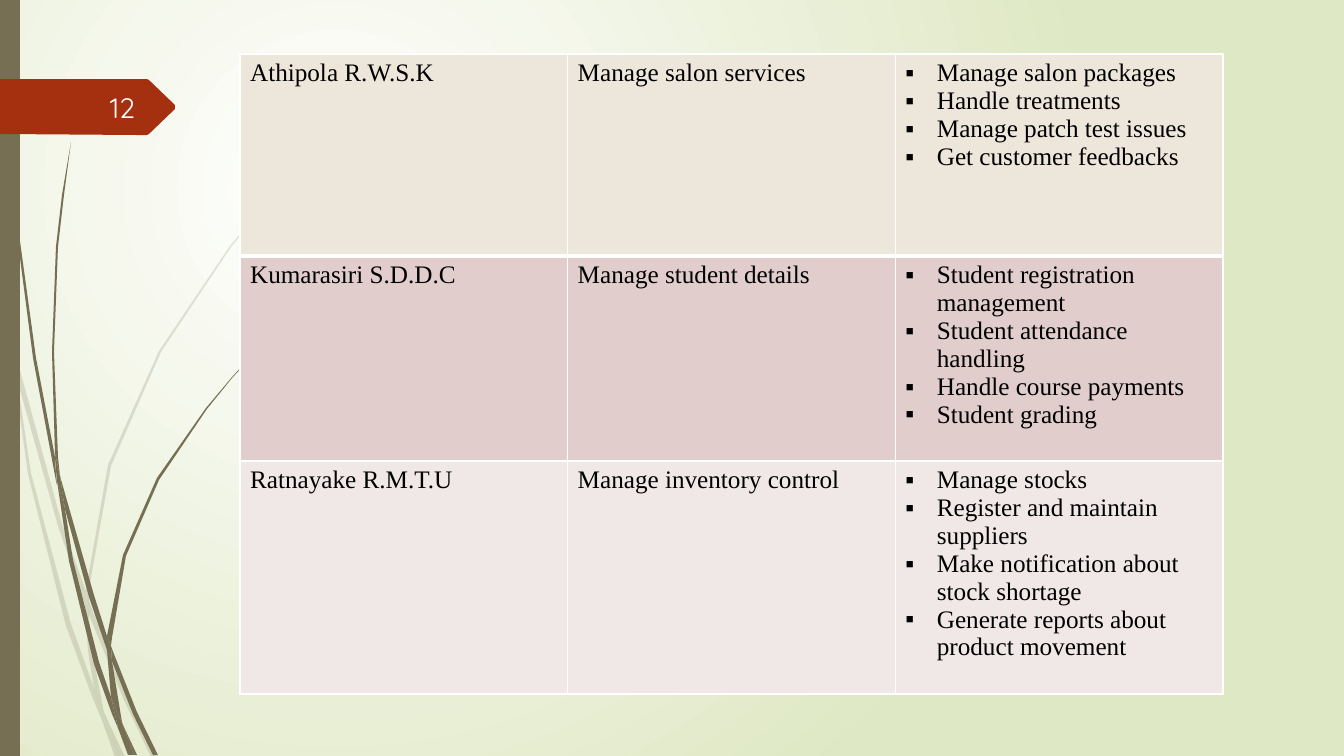
from lxml import etree
from pptx import Presentation
from pptx import util as u
from pptx.dml.color import RGBColor
from pptx.enum import shapes, text
from pptx.oxml import ns

WIDTH, HEIGHT = 1344, 756
EMU_PER_PX = 12192000 / WIDTH

WHITE = RGBColor(0xFF, 0xFF, 0xFF)
NUMBER_WHITE = RGBColor(0xFE, 0xFF, 0xFF)
BLACK = RGBColor(0x00, 0x00, 0x00)
SAGE = RGBColor(0xDF, 0xE8, 0xC4)
OLIVE = RGBColor(0x76, 0x6F, 0x54)
RUST = RGBColor(0xA5, 0x30, 0x10)
SAND = RGBColor(0xED, 0xE6, 0xDB)
ROSE = RGBColor(0xE1, 0xCD, 0xCC)
BLUSH = RGBColor(0xF0, 0xE8, 0xE7)

PALE_BLADES = [
    [(11, 353), (9, 325), (0, 284), (0, 301), (10, 347)],
    [(58, 526), (85, 604), (86, 591), (62, 524), (14, 348), (17, 379)],
    [(93, 612), (89, 601), (89, 615), (124, 700), (151, 757), (156, 757),
     (128, 698)],
    [(120, 757), (125, 757), (106, 717)],
    [(94, 688), (71, 624), (31, 473), (17, 379), (11, 353), (28, 474),
     (66, 626), (93, 699), (102, 720), (100, 713)],
    [(85, 604), (88, 651), (94, 688), (97, 698), (106, 717), (104, 712),
     (92, 651), (89, 615), (89, 613)],
    [(89, 589), (111, 466), (161, 352), (231, 247), (270, 200), (292, 176),
     (314, 155), (314, 154), (291, 176), (270, 199), (230, 246), (159, 351),
     (108, 465), (86, 589), (86, 591), (89, 601)],
    [(102, 720), (115, 757), (120, 757)],
    [(89, 613), (89, 615), (89, 601), (86, 591), (85, 604)],
    [(97, 698), (94, 688), (100, 713), (102, 720), (120, 757), (106, 717)],
]
DARK_BLADES = [
    [(7, 111), (17, 235), (33, 358), (56, 481), (57, 485), (55, 461),
     (55, 457), (36, 358), (19, 234), (8, 110), (5, 48), (4, 0), (3, 0),
     (4, 48)],
    [(89, 597), (107, 650), (107, 638), (107, 636), (94, 595), (60, 476),
     (65, 509)],
    [(114, 654), (111, 646), (112, 661), (133, 714), (153, 755), (158, 755),
     (137, 712)],
    [(111, 697), (99, 662), (73, 560), (65, 509), (57, 481), (69, 561),
     (94, 664), (112, 714), (118, 728), (117, 723)],
    [(60, 476), (58, 457), (54, 352), (58, 247), (64, 195), (71, 142),
     (62, 195), (56, 247), (52, 352), (55, 453)],
    [(134, 755), (137, 755), (123, 725)],
    [(57, 481), (65, 509), (60, 476), (55, 453), (55, 457)],
    [(112, 638), (126, 556), (159, 480), (207, 409), (233, 377), (247, 362),
     (263, 347), (262, 347), (247, 361), (233, 376), (206, 408), (157, 478),
     (123, 555), (107, 636), (111, 646)],
    [(118, 728), (128, 755), (132, 755)],
    [(107, 650), (111, 697), (117, 712), (123, 725), (122, 722), (112, 661),
     (110, 656)],
    [(107, 650), (110, 656), (112, 661), (111, 646), (107, 636), (107, 638)],
    [(117, 712), (111, 697), (117, 723), (118, 728), (131, 755), (134, 755),
     (123, 725)],
]
BADGE = [(175, 109), (149, 134), (147, 135), (137, 135), (0, 134), (0, 79),
         (137, 79), (147, 79), (149, 80), (175, 105)]
DUTIES = [
    ("Athipola R.W.S.K", "Manage salon services",
     ["Manage salon packages", "Handle treatments",
      "Manage patch test issues", "Get customer feedbacks"], SAND, 202),
    ("Kumarasiri S.D.D.C", "Manage student details",
     ["Student registration management", "Student attendance handling",
      "Handle course payments", "Student grading"], ROSE, 205),
    ("Ratnayake R.M.T.U", "Manage inventory control",
     ["Manage stocks", "Register and maintain suppliers",
      "Make notification about stock shortage",
      "Generate reports about product movement"], BLUSH, 233),
]


def px(value):
    return u.Emu(round(value * EMU_PER_PX))


def add_xml(parent, tag, **attributes):
    return etree.SubElement(parent, ns.qn(tag), attributes)


def paint_background(page):
    fill = page.background.fill
    fill.gradient()
    for stop, color, position in zip(fill.gradient_stops, (WHITE, SAGE), (0, 1)):
        stop.color.rgb = color
        stop.position = position
    gradient = page.element.find(".//" + ns.qn("a:gradFill"))
    for line in gradient.findall(ns.qn("a:lin")):
        gradient.remove(line)
    circle = add_xml(gradient, "a:path", path="circle")
    add_xml(circle, "a:fillToRect", l="50000", t="50000", r="100000", b="100000")


def paint(shape, color):
    shape.shadow.inherit = False
    shape.fill.solid()
    shape.fill.fore_color.rgb = color
    shape.line.fill.background()


def add_outline(page, points, color, opacity=100):
    corners = [(px(x), px(y)) for x, y in points]
    builder = page.shapes.build_freeform(*corners[0])
    builder.add_line_segments(corners[1:], close=True)
    outline = builder.convert_to_shape()
    paint(outline, color)
    if opacity < 100:
        tint = outline.element.spPr.find(".//" + ns.qn("a:srgbClr"))
        add_xml(tint, "a:alpha", val=str(opacity * 1000))


def add_side_bar(page):
    bar = page.shapes.add_shape(
        shapes.MSO_SHAPE.RECTANGLE, 0, 0, px(20), px(HEIGHT))
    paint(bar, OLIVE)


def format_text(para, font, size, color):
    for span in para.runs:
        span.font.name = font
        span.font.size = u.Pt(size)
        span.font.color.rgb = color


def add_number(page, number):
    box = page.shapes.add_textbox(px(59), px(87), px(86), px(40))
    frame = box.text_frame
    frame.word_wrap = True
    frame.vertical_anchor = text.MSO_ANCHOR.MIDDLE
    frame.text = number
    para = frame.paragraphs[0]
    para.alignment = text.PP_ALIGN.RIGHT
    format_text(para, "Quicksand", 20, NUMBER_WHITE)


def add_bullet(para):
    properties = para._p.get_or_add_pPr()
    properties.set("marL", "285750")
    properties.set("indent", "-285750")
    add_xml(properties, "a:buFont", typeface="Times New Roman")
    add_xml(properties, "a:buChar", char="▪")


def set_borders(cell):
    properties = cell._tc.get_or_add_tcPr()
    for side, width in zip("LRTB", (1, 1, 1, 3)):
        line = add_xml(properties, "a:ln" + side, w=str(u.Pt(width)))
        add_xml(add_xml(line, "a:solidFill"), "a:srgbClr", val=str(WHITE))


def fill_cell(cell, lines, color, bulleted):
    cell.fill.solid()
    cell.fill.fore_color.rgb = color
    cell.text_frame.text = "\n".join(lines)
    for para in cell.text_frame.paragraphs:
        format_text(para, "Times New Roman", 18, BLACK)
        if bulleted:
            add_bullet(para)


def add_duty_table(page):
    total = sum(duty[-1] for duty in DUTIES)
    table = page.shapes.add_table(
        len(DUTIES), 3, px(240), px(54), px(983), px(total)).table
    table.first_row = False
    table.horz_banding = False
    for index, (person, area, tasks, color, height) in enumerate(DUTIES):
        table.rows[index].height = px(height)
        for column, lines in enumerate(([person], [area], tasks)):
            cell = table.cell(index, column)
            if index == 0:
                set_borders(cell)
            fill_cell(cell, lines, color, lines is tasks)


def main():
    deck = Presentation()
    deck.slide_width, deck.slide_height = px(WIDTH), px(HEIGHT)
    page = deck.slides.add_slide(deck.slide_layouts[6])
    paint_background(page)
    for blades, opacity in ((PALE_BLADES, 20), (DARK_BLADES, 100)):
        for points in blades:
            add_outline(page, points, OLIVE, opacity)
    add_side_bar(page)
    add_outline(page, BADGE, RUST)
    add_duty_table(page)
    add_number(page, "12")
    deck.save("out.pptx")


if __name__ == "__main__":
    main()
